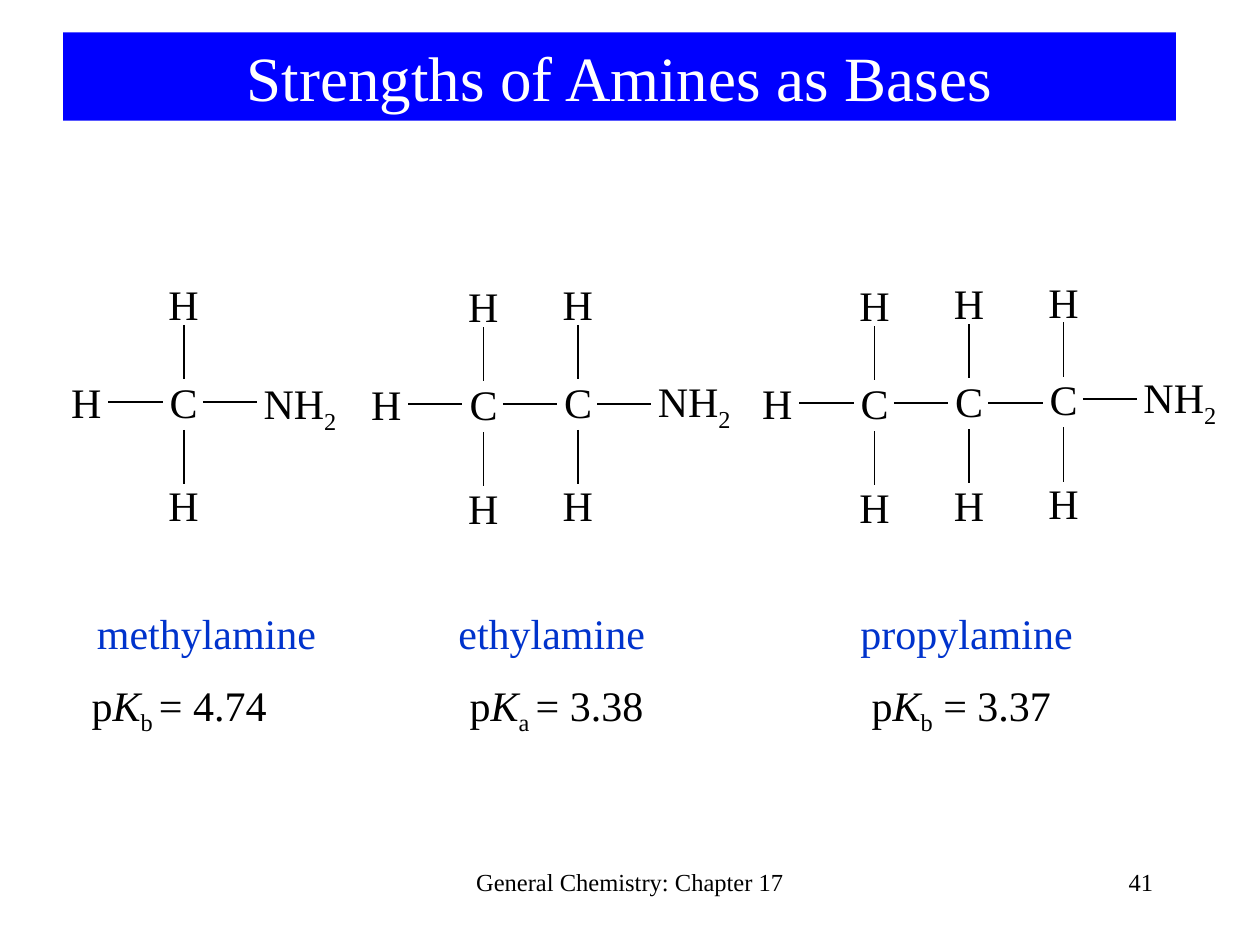
from lxml.etree import SubElement as Sub
from pptx import Presentation
from pptx.dml.color import RGBColor as RGB
from pptx.enum.shapes import MSO_CONNECTOR as LINE
from pptx.enum.text import MSO_ANCHOR as ANCHOR, MSO_AUTO_SIZE as FIT, PP_ALIGN as ALIGN
from pptx.oxml.ns import qn
from pptx.util import Pt

COLORS = {"black": "000000", "white": "FFFFFF", "bar": "0000FF", "name": "0033CC"}


class Deck:
    font = "Times New Roman"
    size = 24
    pitch = 54  # distance between neighbouring carbons
    bond = 31   # length of every bond

    def __init__(self, width, height):
        self.prs = Presentation()
        self.prs.slide_width, self.prs.slide_height = Pt(width), Pt(height)
        self.slide = self.prs.slides.add_slide(self.prs.slide_layouts[5])

    def style(self, para, size, color, align=ALIGN.LEFT):
        para.alignment = align
        para.font.name, para.font.size = self.font, Pt(size)
        para.font.color.rgb = RGB.from_string(COLORS[color])

    def title(self, text, left, top, width, height):
        shape = self.slide.shapes.title
        shape.left, shape.top = Pt(left), Pt(top)
        shape.width, shape.height = Pt(width), Pt(height)
        shape.fill.solid()
        shape.fill.fore_color.rgb = RGB.from_string(COLORS["bar"])
        frame = shape.text_frame
        frame.text = text
        frame.vertical_anchor = ANCHOR.MIDDLE
        frame.auto_size = FIT.NONE
        self.style(frame.paragraphs[0], 36, "white", ALIGN.CENTER)

    def text(self, runs, left, top, width, height=36, size=size, color="black",
             align=ALIGN.LEFT, tabs=(), wrap=True):
        """Each run is a pair of text and kind: "" plain, "i" italic, "sub" lowered."""
        box = self.slide.shapes.add_textbox(Pt(left), Pt(top), Pt(width), Pt(height))
        frame = box.text_frame
        frame.word_wrap = wrap
        para = frame.paragraphs[0]
        if tabs:
            stops = Sub(para._p.get_or_add_pPr(), qn("a:tabLst"))
            for stop in tabs:
                Sub(stops, qn("a:tab"), pos=str(Pt(stop)), algn="l")
        self.style(para, size, color, align)
        for words, kind in runs:
            run = para.add_run()
            run.text = words
            if kind == "i":
                run.font.italic = True
            elif kind == "sub":
                run._r.get_or_add_rPr().set("baseline", "-25000")

    def line(self, x, y, dx=0, dy=0):
        line = self.slide.shapes.add_connector(LINE.STRAIGHT, Pt(x), Pt(y), Pt(x + dx), Pt(y + dy))
        line.line.color.rgb = RGB.from_string(COLORS["black"])
        line.line.width = Pt(1)
        Sub(line._element.spPr, qn("a:effectLst"))

    def atom(self, sign, x, top):
        width = {"C": 30.2, "H": 31.7}[sign]
        self.text([(sign, "")], x - width / 2, top, width, wrap=False)

    def carbon(self, x, y):
        self.atom("C", x, y - 18)
        for top in (-74, 41):
            self.atom("H", x, y + top)
        for top in (-44, 16):
            self.line(x, y + top, dy=self.bond)

    def amine(self, x, rows, bonds, end):
        """Carbon heights, then bond heights from left to right, then the top of NH2."""
        self.atom("H", x - 55.5, bonds[0] - 18)
        self.line(x - 43, bonds[0], dx=self.bond)
        for i, (row, bond) in enumerate(zip(rows, bonds[1:])):
            mid = x + i * self.pitch
            self.carbon(mid, row)
            self.line(mid + 11, bond, dx=self.bond)
        self.text([("NH", ""), ("2", "sub")], mid + 38.5, end, 56.5, 40, wrap=False)


def main():
    deck = Deck(720, 540)
    deck.title("Strengths of Amines as Bases", 36, 18.5, 636, 50.5)

    # Structures
    deck.amine(105, [229.7], [229.7] * 2, 212.4)
    deck.amine(276.3, [231, 229.7], [231] * 3, 211)
    deck.amine(499.8, [230.4, 229.2, 228.2], [230.4] * 3 + [228.2], 208.8)

    # Names and base constants
    deck.text([("methylamine\tethylamine\tpropylamine", "")], 48.3, 343.4, 643,
              color="name", tabs=(206.6, 436.3))
    deck.text([("p", ""), ("K", "i"), ("b ", "sub"), ("= 4.74\tp", ""),
               ("K", "i"), ("a ", "sub"), ("= 3.38\tp", ""),
               ("K", "i"), ("b", "sub"), (" = 3.37", "")],
              45.3, 384.5, 627, 40, tabs=(216, 445.7))

    # Footer
    deck.text([("General Chemistry: Chapter 17", "")], 246, 492, 228, size=14, align=ALIGN.CENTER)
    deck.text([("41", "")], 516, 492, 150, size=14, align=ALIGN.RIGHT)

    deck.prs.save("out.pptx")


if __name__ == "__main__":
    main()
